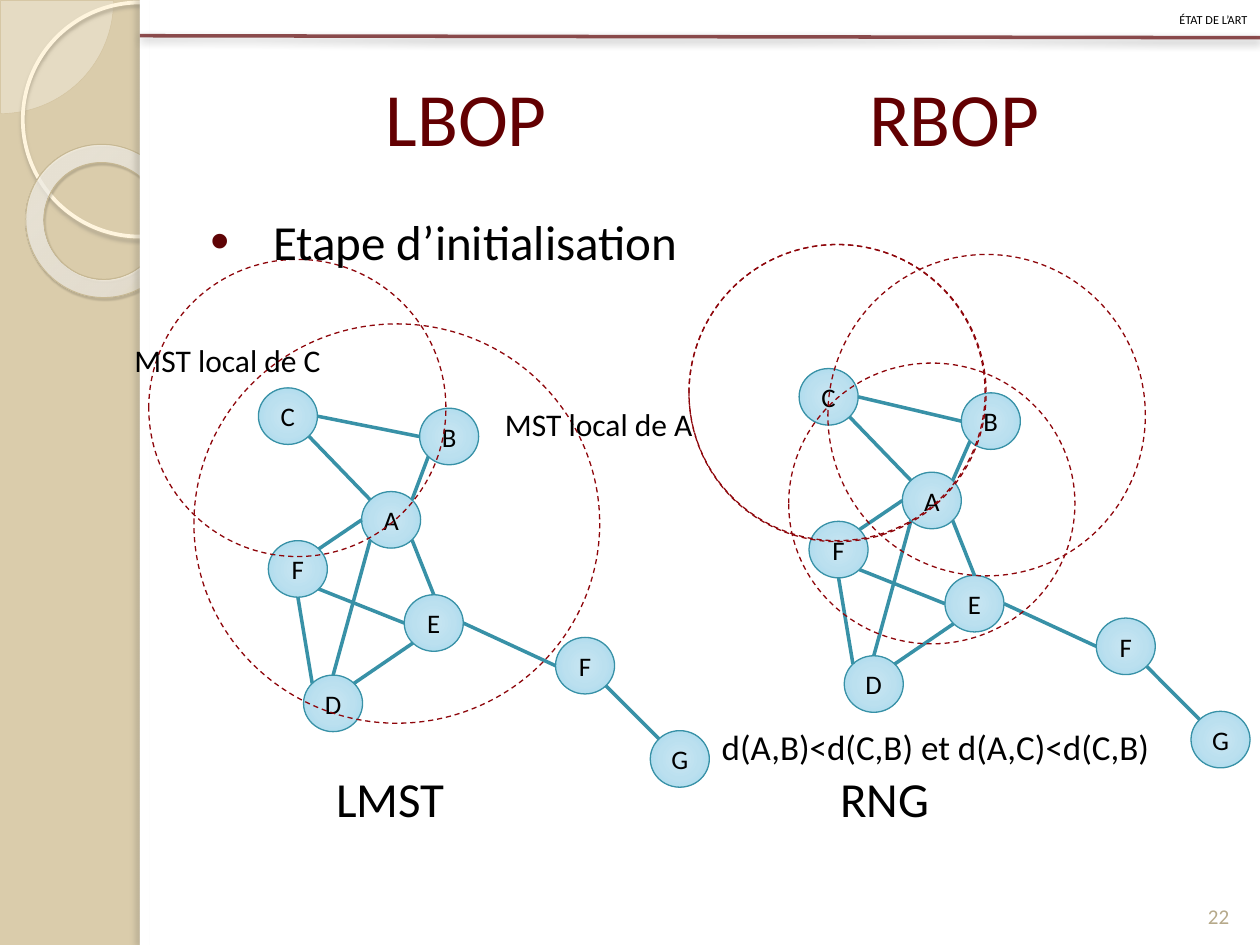
from dataclasses import dataclass
from math import cos, radians, sin

from lxml import etree
from pptx import Presentation
from pptx import util as u
from pptx.dml import color
from pptx.enum import dml, shapes, text
from pptx.oxml import ns

HUES = {
    "sand": "DACCAB", "cream": "FEFAF4", "tan": "D3C39F", "ivory": "FFF5DE",
    "rim": "C7B893", "white": "FFFFFF", "wine": "5F0406", "title": "630002",
    "dash": "8E060B", "teal": "3891A7", "black": "000000", "page": "B6A98A",
}
FONT = "Calibri"
WIDE, TALL = 1.19, 1.14
KIND = shapes.MSO_SHAPE
ALIGN = text.PP_ALIGN
MID = text.MSO_ANCHOR.MIDDLE


@dataclass
class Box:
    left: float
    top: float
    width: float
    height: float

    def size(self) -> list:
        return [u.Cm(v) for v in (self.left, self.top, self.width, self.height)]


@dataclass
class Label:
    words: str
    box: Box
    size: float
    hue: str = "black"
    align: ALIGN = ALIGN.LEFT
    anchor: text.MSO_ANCHOR = text.MSO_ANCHOR.TOP
    wrap: bool = True


@dataclass
class Edge:
    start: str
    out: int
    end: str
    into: int


@dataclass
class Shade:
    hue: str
    alpha: int
    blur: float
    dist: float
    angle: int


@dataclass
class Stop:
    spot: int
    hue: str
    alpha: int = 100


NODES = {
    "A": (7.29, 9.91), "B": (8.46, 8.23), "C": (5.21, 7.82), "D": (6.12, 13.61),
    "E": (8.15, 11.99), "F": (11.2, 12.85), "G": (13.11, 14.73), "F2": (5.41, 10.9),
}
SHIFT = (10.9, -0.39)
RIGHT = {k: (x + SHIFT[0], y + SHIFT[1]) for k, (x, y) in NODES.items()}
RIGHT["B"] = (19.38, 7.92)
EDGES = [
    Edge("C", 5, "A", 1), Edge("A", 7, "B", 3), Edge("A", 5, "E", 0),
    Edge("A", 3, "D", 0), Edge("D", 7, "E", 3), Edge("E", 6, "F", 2),
    Edge("B", 2, "C", 6), Edge("F", 5, "G", 1), Edge("A", 2, "F2", 7),
    Edge("F2", 4, "D", 1), Edge("E", 2, "F2", 5),
]
RINGS = [
    Box(3, 5.23, 5.99, 5.99), Box(3.91, 6.53, 8.18, 8.05),
    Box(13.89, 4.93, 5.97, 5.97), Box(16.69, 5.13, 6.4, 6.48),
    Box(15.9, 7.32, 5.77, 5.66), Box(13.89, 4.93, 5.99, 5.99),
]
BLUES = [Stop(0, "C9E6F2"), Stop(50, "BBE0EF"), Stop(97, "A4D8ED"), Stop(100, "9BD7EE")]
GLOW = [Stop(0, "FFFCF6", 70), Stop(70, "FFFEFB", 55), Stop(100, "F0D28E", 60)]
LABELS = [
    Label("état de l’art", Box(0, 0, 25.4, 0.74), 8.8, align=ALIGN.RIGHT, anchor=MID),
    Label("22", Box(23.93, 17.53, 1.27, 1.32), 12, "page", ALIGN.CENTER,
          text.MSO_ANCHOR.BOTTOM),
    Label("Etape d’initialisation", Box(3.99, 4.14, 20.83, 1.45), 28),
    Label("LMST", Box(6.53, 15.37, 4, 1.45), 28),
    Label("RNG", Box(16.69, 15.37, 4, 1.45), 28),
    Label("MST local de C", Box(2.46, 6.76, 4.37, 1.02), 18, wrap=False),
    Label("MST local de A", Box(9.93, 8.05, 4.39, 1.02), 18, wrap=False),
    Label("d(A,B)<d(C,B) et d(A,C)<d(C,B)", Box(14.3, 14.5, 10.03, 1.12), 20),
    Label("LBOP", Box(3.99, 0.76, 10.82, 3.18), 43, "title", ALIGN.CENTER, MID),
    Label("RBOP", Box(14.3, 0.76, 9.88, 3.18), 43, "title", ALIGN.CENTER, MID),
]


def tint(name: str) -> color.RGBColor:
    return color.RGBColor.from_string(HUES[name])


def add(root, tag: str, **attrs):
    return etree.SubElement(root, ns.qn(tag), {k: str(v) for k, v in attrs.items()})


def fade(root, alpha: int) -> None:
    add(root, "a:alpha", val=alpha * 1000)


def cast(shape, shade: Shade) -> None:
    props = shape._element.spPr
    for old in props.findall(ns.qn("a:effectLst")):
        props.remove(old)
    glow = add(add(props, "a:effectLst"), "a:outerShdw", blurRad=u.Pt(shade.blur),
               dist=u.Pt(shade.dist), dir=shade.angle * 60000, algn="tl", rotWithShape=0)
    fade(add(glow, "a:srgbClr", val=shade.hue), shade.alpha)


def blend(shape, stops: list[Stop], rect: tuple) -> None:
    grad = etree.Element(ns.qn("a:gradFill"), rotWithShape="1")
    row = add(grad, "a:gsLst")
    for stop in stops:
        tone = add(add(row, "a:gs", pos=stop.spot * 1000), "a:srgbClr", val=stop.hue)
        if stop.alpha < 100:
            fade(tone, stop.alpha)
    sides = {k: v * 1000 for k, v in zip("ltrb", rect)}
    add(add(grad, "a:path", path="circle"), "a:fillToRect", **sides)
    shape._element.spPr.insert(2, grad)


def draw(slide, kind, box: Box, fill: str = "", line: str = "", width: float = 0.75):
    shape = slide.shapes.add_shape(kind, *box.size())
    shape.shadow.inherit = False
    if fill:
        shape.fill.solid()
        shape.fill.fore_color.rgb = tint(fill)
    if line:
        shape.line.color.rgb = tint(line)
        shape.line.width = u.Pt(width)
    else:
        shape.line.fill.background()
    return shape


def style(frame, words: str, size: float, hue: str, align) -> None:
    frame.text = words
    para = frame.paragraphs[0]
    para.alignment = align
    font = para.runs[0].font
    font.name, font.size = FONT, u.Pt(size)
    font.color.rgb = tint(hue)


def write(slide, label: Label):
    frame = slide.shapes.add_textbox(*label.box.size()).text_frame
    frame.word_wrap = label.wrap
    frame.vertical_anchor = label.anchor
    style(frame, label.words, label.size, label.hue, label.align)
    return frame.paragraphs[0]


def wire(slide, start: tuple, end: tuple, hue: str):
    ends = [u.Cm(v) for v in (*start, *end)]
    link = slide.shapes.add_connector(shapes.MSO_CONNECTOR.STRAIGHT, *ends)
    link.line.color.rgb = tint(hue)
    link.line.width = u.Pt(2)
    add(link._element.spPr, "a:effectLst")
    return link


def port(spot: tuple, site: int) -> tuple:
    turn = radians(90 + 45 * site)
    return (spot[0] + WIDE / 2 * (1 + cos(turn)), spot[1] + TALL / 2 * (1 - sin(turn)))


def graph(slide, nodes: dict) -> None:
    discs = {}
    for name, spot in nodes.items():
        disc = draw(slide, KIND.OVAL, Box(*spot, WIDE, TALL), line="teal")
        blend(disc, BLUES, (50, 50, 50, 50))
        frame = disc.text_frame
        frame.margin_left = frame.margin_right = frame.margin_top = frame.margin_bottom = 0
        frame.vertical_anchor = MID
        style(frame, name[0], 15.3, "black", ALIGN.CENTER)
        discs[name] = disc
    for edge in EDGES:
        link = wire(slide, port(nodes[edge.start], edge.out),
                    port(nodes[edge.end], edge.into), "teal")
        joins = link._element.nvCxnSpPr.cNvCxnSpPr
        add(joins, "a:stCxn", id=discs[edge.start].shape_id, idx=edge.out)
        add(joins, "a:endCxn", id=discs[edge.end].shape_id, idx=edge.into)


def decor(slide) -> None:
    slide.background.fill.solid()
    slide.background.fill.fore_color.rgb = tint("sand")
    pie = draw(slide, KIND.PIE, Box(-2.26, -2.26, 4.55, 4.55), "cream", "tan", 0.25)
    pie.adjustments[0], pie.adjustments[1] = 0, 54.02
    fade(pie._element.spPr.find(ns.qn("a:solidFill"))[0], 33)
    hoop = draw(slide, KIND.OVAL, Box(0.46, 0.05, 4.72, 4.72), line="ivory", width=2.15)
    hoop.fill.background()
    cast(hoop, Shade("B0A68F", 85, 2, 2, 90))
    donut = draw(slide, KIND.DONUT, Box(0.51, 2.92, 3.12, 3.07), line="rim", width=0.58)
    donut.adjustments[0] = 0.12
    donut.rotation = 38.6
    blend(donut, GLOW, (-408, -50, 508, 150))
    cast(donut, Shade("5A5444", 35, 1, 1.2, 75))
    draw(slide, KIND.RECTANGLE, Box(2.82, 0, 22.58, 19.05), "white")
    strip = draw(slide, KIND.RECTANGLE, Box(2.82, 0, 0.2, 19.05), "white")
    cast(strip, Shade("736F63", 25, 3, 3, 180))
    rule = wire(slide, (2.82, 0.72), (25.4, 0.76), "wine")
    fade(rule.line._ln.find(ns.qn("a:solidFill"))[0], 70)
    cast(rule, Shade("000000", 43, 5, 2, 90))


def main() -> None:
    deck = Presentation()
    deck.slide_width, deck.slide_height = u.Cm(25.4), u.Cm(19.05)
    slide = deck.slides.add_slide(deck.slide_layouts[6])
    decor(slide)
    graph(slide, NODES)
    graph(slide, RIGHT)
    for box in RINGS:
        ring = draw(slide, KIND.OVAL, box, line="dash")
        ring.fill.background()
        ring.line.dash_style = dml.MSO_LINE.DASH
    paras = [write(slide, label) for label in LABELS]
    paras[0].runs[0]._r.get_or_add_rPr().set("cap", "small")
    props = paras[2]._p.get_or_add_pPr()
    props.set("marL", str(u.Cm(1.27)))
    props.set("indent", str(-u.Cm(1.27)))
    add(add(props, "a:buClr"), "a:srgbClr", val=HUES["wine"])
    add(props, "a:buSzPct", val=110000)
    add(props, "a:buFont", typeface="Arial")
    add(props, "a:buChar", char="•")
    deck.save("out.pptx")


if __name__ == "__main__":
    main()
